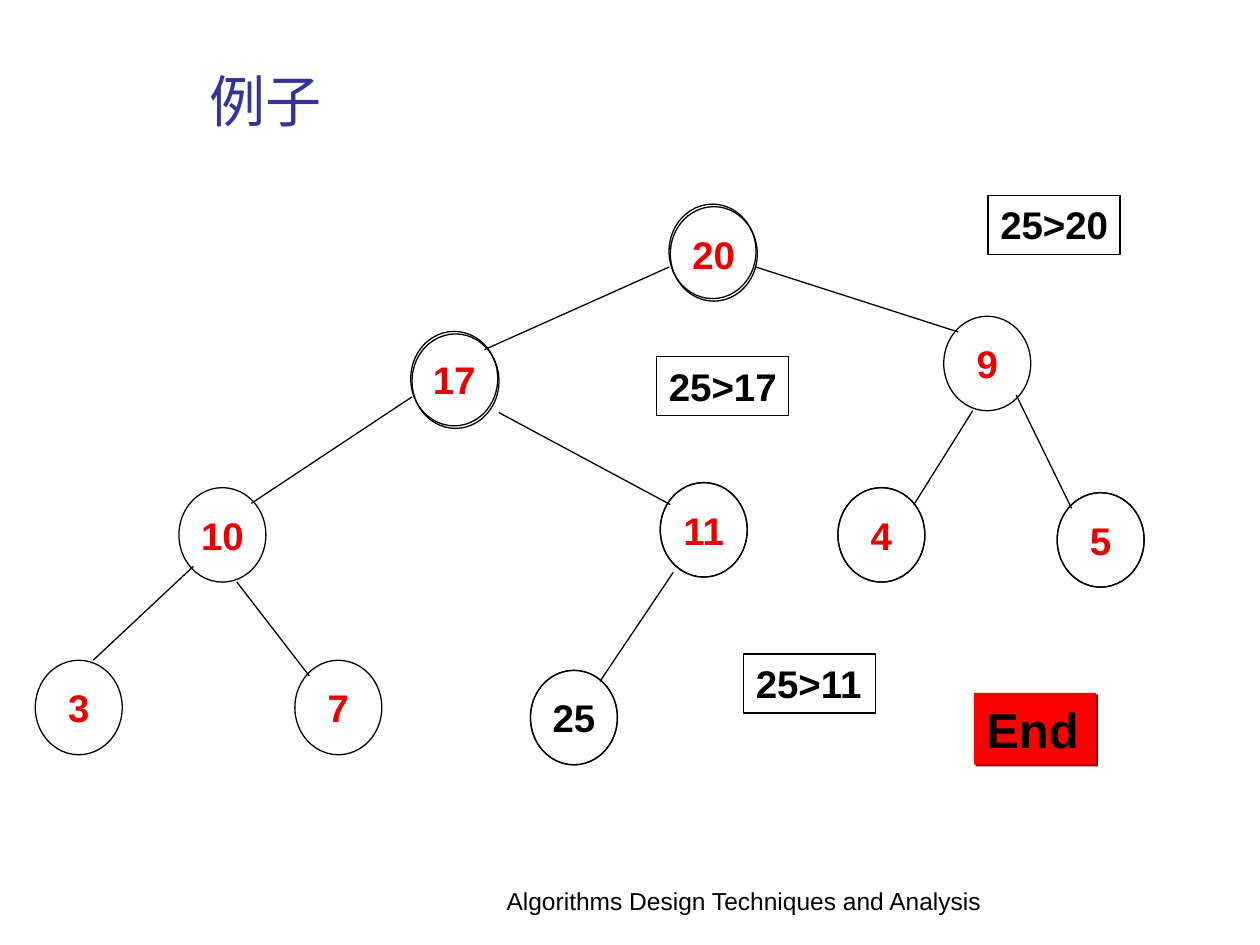
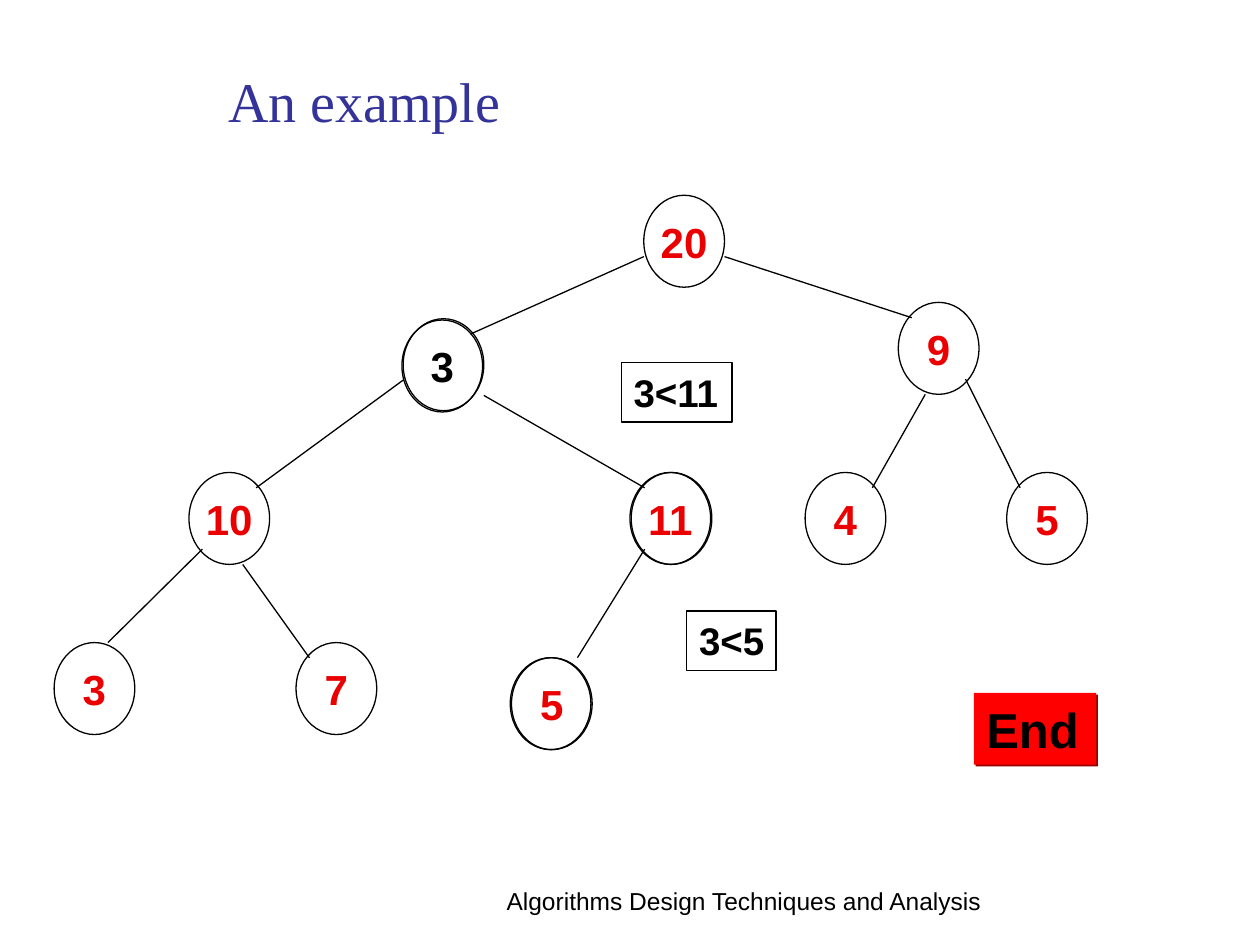
"""Build two slides that show binary heap operations as trees."""
from lxml import etree
from pptx import Presentation
from pptx.dml.color import RGBColor
from pptx.enum.shapes import MSO_CONNECTOR, MSO_SHAPE
from pptx.enum.text import MSO_ANCHOR, MSO_AUTO_SIZE, PP_ALIGN
from pptx.oxml.ns import qn
from pptx.util import Inches, Pt

OVAL, RECT = MSO_SHAPE.OVAL, MSO_SHAPE.RECTANGLE
STRAIGHT = MSO_CONNECTOR.STRAIGHT
LEFT, CENTER = PP_ALIGN.LEFT, PP_ALIGN.CENTER
TOP, MIDDLE = MSO_ANCHOR.TOP, MSO_ANCHOR.MIDDLE
FIXED = MSO_AUTO_SIZE.NONE

BLACK, WHITE, RED, NAVY = "000000", "FFFFFF", "EA0000", "333399"
END_FILL, END_SHADOW = "FF0000", "990000"
FOOTER = "Algorithms Design Techniques and Analysis"
FOOTER_BOX = (3.82, 6.98, 4.17, 0.47)
TITLE_BOX = (0.96, 0.29, 8.61, 1.01)
END_BOX = (7.73, 5.5, 0.97, 0.57)
LABEL_HEIGHT = 0.47

# Heap position of a child: ends of its edge, in sixths of the parent and the child.
EDGES = {
    2: ((0, 4), (5, 1)), 3: ((6, 4), (1, 1)),
    4: ((0, 4), (5, 1)), 5: ((6, 5), (1, 1)),
    6: ((2, 6), (5, 1)), 7: ((5, 5), (1, 1)),
    8: ((1, 5), (4, 0)), 9: ((4, 6), (1, 1)),
    10: ((1, 5), (5, 0)),
}

# Nodes are (value, left, top) in heap order; rings lie behind the nodes.
SLIDES = [
    {
        "title": "例子", "indent": 0.7, "node_size": (0.69, 0.75), "font_size": 22,
        "nodes": [(20, 5.32, 1.64), (17, 3.26, 2.63), (9, 7.49, 2.51),
                  (10, 1.42, 3.87), (11, 5.24, 3.83), (4, 6.65, 3.87),
                  (5, 8.39, 3.91), (3, 0.28, 5.24), (7, 2.34, 5.24),
                  (25, 4.21, 5.32)],
        "rings": {1: (5.31, 1.62), 2: (3.27, 2.65), 5: (5.24, 3.83),
                  6: (6.65, 3.87), 7: (8.39, 3.91), 10: (4.21, 5.32)},
        "edges": {5: ((6, 5), (0.7, 1.4)), 6: ((2, 6), (5.3, 1)),
                  10: ((0.9, 5.7), (4.8, 0.7))},
        "active": 10,
        "labels": [("25>11", 5.9, 5.19, 1.05), ("25>17", 5.21, 2.83, 1.05),
                   ("25>20", 7.84, 1.55, 1.05)],
    },
    {
        "title": "An example", "indent": 0.85, "node_size": (0.64, 0.73), "font_size": 24,
        "nodes": [(20, 5.11, 1.55), (3, 3.19, 2.54), (9, 7.13, 2.4),
                  (10, 1.5, 3.75), (11, 5, 3.75), (4, 6.39, 3.75),
                  (5, 7.99, 3.75), (3, 0.43, 5.1), (7, 2.35, 5.1),
                  (5, 4.06, 5.22)],
        "rings": {2: (3.2, 2.53), 5: (5.01, 3.75), 10: (4.05, 5.22)},
        "edges": {},
        "active": 2,
        "labels": [("3<11", 4.93, 2.88, 0.88), ("3<5", 5.45, 4.85, 0.71)],
    },
]


def rgb(color):
    return RGBColor.from_string(color)


def inches(*lengths):
    return [Inches(n) for n in lengths]


def place(sp, box):
    sp.left, sp.top, sp.width, sp.height = inches(*box)


def put_text(sp, text, size, color=BLACK, font="Arial", bold=False, align=LEFT,
             anchor=TOP, wrap=True, indent=0.1, right=0.1):
    tf = sp.text_frame
    tf.word_wrap, tf.auto_size, tf.vertical_anchor = wrap, FIXED, anchor
    tf.margin_left, tf.margin_right = inches(indent, right)
    tf.margin_top = tf.margin_bottom = Inches(0.05)
    p = tf.paragraphs[0]
    p.alignment = align
    r = p.add_run()
    r.text = text
    r.font.size, r.font.name, r.font.bold = Pt(size), font, bold
    r.font.color.rgb = rgb(color)


def add_box(s, kind, box, fill=None, line=BLACK):
    sp = s.shapes.add_shape(kind, *inches(*box))
    sp.shadow.inherit = False
    if fill:
        sp.fill.solid()
        sp.fill.fore_color.rgb = rgb(fill)
    else:
        sp.fill.background()
    if line:
        sp.line.color.rgb = rgb(line)
        sp.line.width = Pt(0.75)
    else:
        sp.line.fill.background()
    return sp


def add_edge(s, start, end):
    cx = s.shapes.add_connector(STRAIGHT, *inches(*start, *end))
    cx.line.color.rgb = rgb(BLACK)
    cx.line.width = Pt(0.75)
    etree.SubElement(cx._element.spPr, qn("a:effectLst"))


def add_end_badge(s):
    sp = add_box(s, RECT, END_BOX, END_FILL, None)
    effects = sp._element.spPr.find(qn("a:effectLst"))
    shadow = etree.SubElement(effects, qn("a:outerShdw"), blurRad="0",
                              dist=str(Pt(1.4)), dir="2700000", algn="ctr",
                              rotWithShape="0")
    etree.SubElement(shadow, qn("a:srgbClr"), val=END_SHADOW)
    put_text(sp, "End", 28, bold=True, right=0)


def add_tree(s, data):
    size, rings = data["node_size"], data["rings"]
    nodes = dict(enumerate(data["nodes"], 1))
    corners = {i: rings.get(i, node[1:]) for i, node in nodes.items()}

    def anchor(i, sixths):
        return [c + n * f / 6 for c, n, f in zip(corners[i], size, sixths)]

    def add_node(i, fill):
        value, *corner = nodes[i]
        sp = add_box(s, OVAL, (*corner, *size), fill)
        put_text(sp, str(value), data["font_size"],
                 BLACK if i == data["active"] else RED,
                 bold=True, align=CENTER, anchor=MIDDLE, wrap=False)

    for i in nodes:
        if i in rings:
            add_box(s, OVAL, (*rings[i], *size), WHITE)
        else:
            add_node(i, WHITE)
    for child, (start, end) in (EDGES | data["edges"]).items():
        add_edge(s, anchor(child // 2, start), anchor(child, end))
    for i in rings:
        add_node(i, None)


def add_slide(prs, data):
    s = prs.slides.add_slide(prs.slide_layouts[5])
    title = s.shapes.title
    place(title, TITLE_BOX)
    put_text(title, data["title"], 32, NAVY, "Times New Roman", anchor=MIDDLE,
             indent=data["indent"])
    footer = s.shapes.add_textbox(*inches(*FOOTER_BOX))
    put_text(footer, FOOTER, 14, align=CENTER)
    add_tree(s, data)
    for text, left, top, width in data["labels"]:
        sp = add_box(s, RECT, (left, top, width, LABEL_HEIGHT))
        put_text(sp, text, 22, bold=True, right=0)
    add_end_badge(s)


def main():
    prs = Presentation()
    prs.slide_width, prs.slide_height = inches(10, 7.5)
    for data in SLIDES:
        add_slide(prs, data)
    prs.save("out.pptx")


if __name__ == "__main__":
    main()
